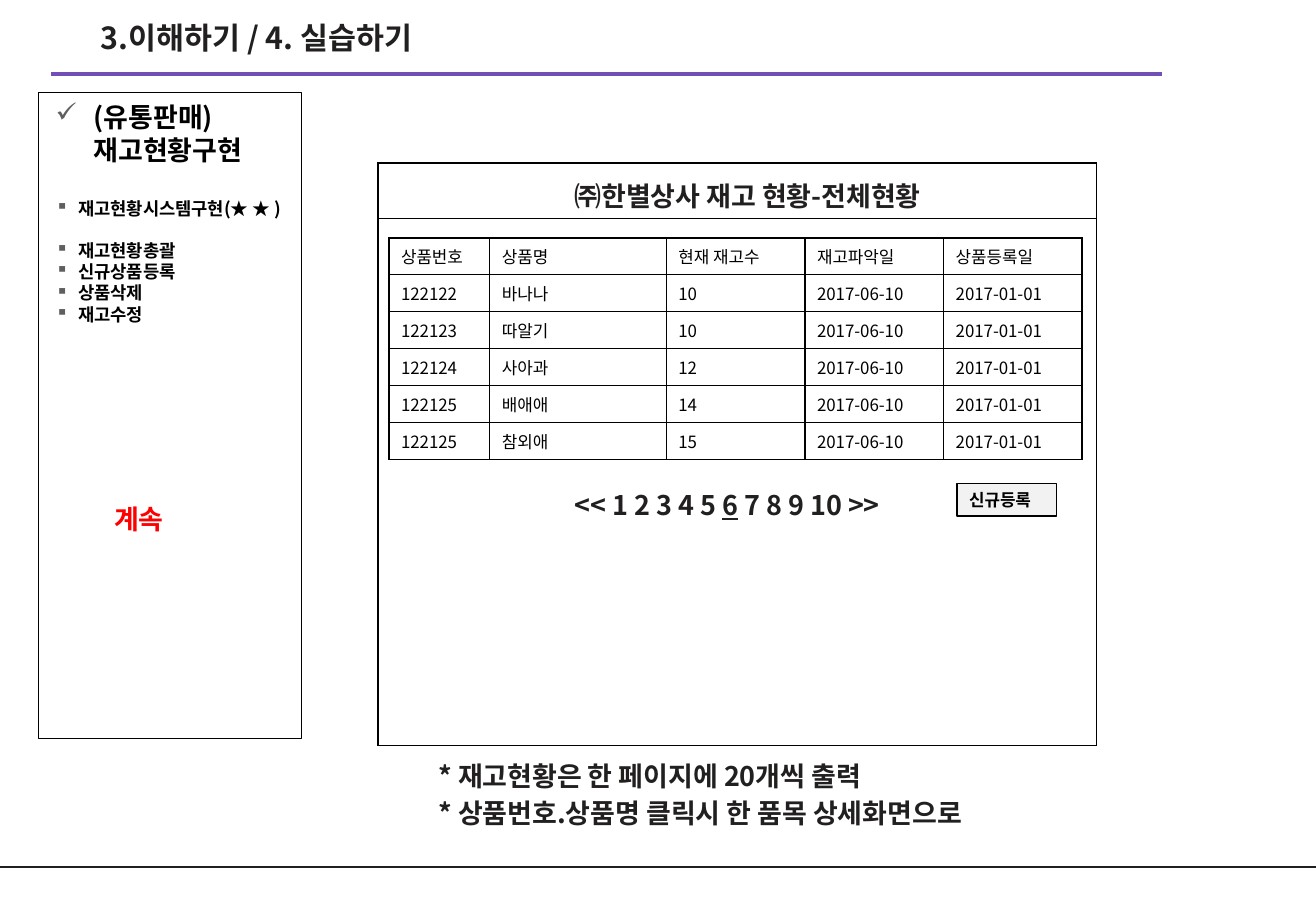
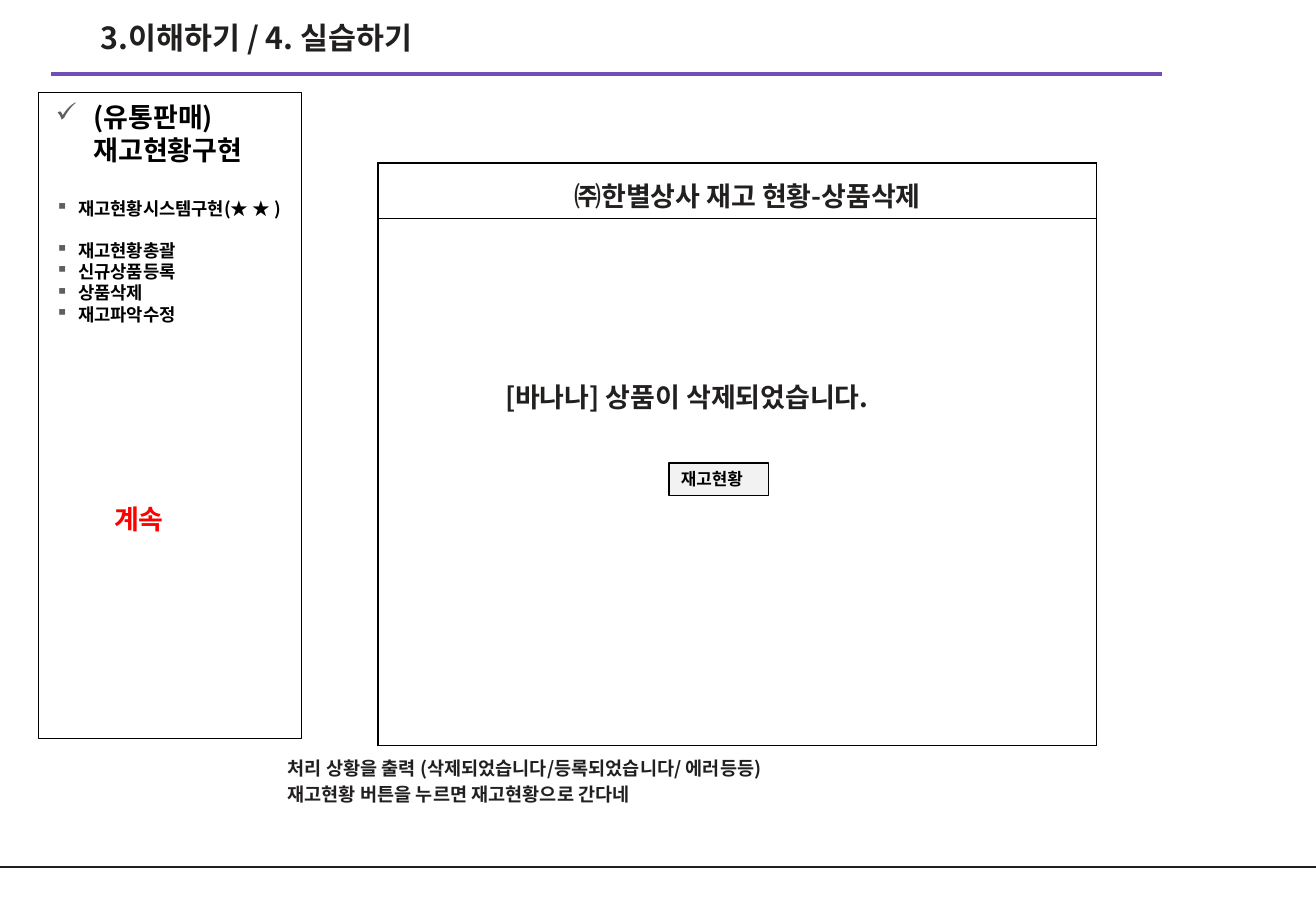
from lxml import etree
from pptx import Presentation
from pptx.dml.color import RGBColor
from pptx.enum.shapes import MSO_CONNECTOR, MSO_SHAPE
from pptx.enum.text import MSO_ANCHOR, MSO_AUTO_SIZE, PP_ALIGN
from pptx.oxml.ns import qn
from pptx.util import Pt

INK = RGBColor(0x22, 0x1F, 0x1F)
BLACK = RGBColor(0, 0, 0)
RED = RGBColor(0xFF, 0, 0)
PURPLE = RGBColor(0x72, 0x4F, 0xB7)
BUTTON = RGBColor(0xF2, 0xF2, 0xF2)
BULLET = RGBColor(0x5F, 0x5F, 0x5F)
FONT = "Noto Sans CJK KR"


def write(p, text, size=16, color=INK, bold=True, font=FONT, before=0,
          bullet=None, indent=0, underline=None):
    """Append a run to paragraph p and set the paragraph's format."""
    p.alignment = PP_ALIGN.LEFT
    p.space_before = Pt(before)
    r = p.add_run()
    r.text = text
    r.font.name, r.font.size, r.font.bold = font, Pt(size), bold
    r.font.color.rgb = color
    r.font.underline = underline
    etree.SubElement(r.font._element, qn("a:ea"), typeface=FONT)
    if bullet:
        pPr = p._p.get_or_add_pPr()
        pPr.set("marL", str(Pt(indent)))
        pPr.set("indent", str(-Pt(indent)))
        clr = etree.SubElement(pPr, qn("a:buClr"))
        etree.SubElement(clr, qn("a:srgbClr"), val=str(BULLET))
        etree.SubElement(pPr, qn("a:buChar"), char=bullet)


def add_grid(s, left, top, widths, heights):
    """Add a table with plain cells and thin black borders."""
    frame = s.shapes.add_table(len(heights), len(widths), Pt(left), Pt(top),
                               Pt(sum(widths)), Pt(sum(heights)))
    table = frame.table
    table.first_row = table.horz_banding = False
    for col, width in zip(table.columns, widths):
        col.width = Pt(width)
    for row, height in zip(table.rows, heights):
        row.height = Pt(height)
    for cell in table.iter_cells():
        cell.vertical_anchor = MSO_ANCHOR.MIDDLE
        cell.fill.background()
        tcPr = cell._tc.get_or_add_tcPr()
        for i, side in enumerate(("a:lnL", "a:lnR", "a:lnT", "a:lnB")):
            ln = etree.Element(qn(side), w=str(Pt(1)))
            fill = etree.SubElement(ln, qn("a:solidFill"))
            etree.SubElement(fill, qn("a:srgbClr"), val=str(BLACK))
            tcPr.insert(i, ln)
    return table


prs = Presentation()
prs.slide_width, prs.slide_height = Pt(780), Pt(540)
layout = prs.slide_layouts[5]
title = layout.placeholders[0]
title.left, title.top, title.width, title.height = Pt(52.5), Pt(8), Pt(400), Pt(34.5)

STOCK = [
    ("상품번호", "상품명", "현재 재고수", "재고파악일", "상품등록일"),
    ("122122", "바나나", "10", "2017-06-10", "2017-01-01"),
    ("122123", "따알기", "10", "2017-06-10", "2017-01-01"),
    ("122124", "사아과", "12", "2017-06-10", "2017-01-01"),
    ("122125", "배애애", "14", "2017-06-10", "2017-01-01"),
    ("122125", "참외애", "15", "2017-06-10", "2017-01-01"),
]
# Text boxes: left, top, width, height, size, lines
PAGES = [
    dict(heading="전체현황", last_item="재고수정", button=("신규등록", 567.3, 286.6),
         texts=[(252.7, 446.4, 361.4, 49.7, 16,
                 ["* 재고현황은 한 페이지에 20개씩 출력",
                  "* 상품번호.상품명 클릭시 한 품목 상세화면으로"])]),
    dict(heading="상품삭제", last_item="재고파악수정", button=("재고현황", 396.5, 274.3),
         texts=[(292.3, 221.8, 252, 26.6, 16, ["[바나나] 상품이 삭제되었습니다."]),
                (163.4, 445, 519.8, 36.7, 11,
                 ["처리 상황을 출력 (삭제되었습니다/등록되었습니다/ 에러등등)",
                  "재고현황 버튼을 누르면 재고현황으로 간다네"])]),
]

for page in PAGES:
    s = prs.slides.add_slide(layout)

    # Rules shared through the layout
    if page is PAGES[0]:
        for x1, x2, y, color, weight in ((0, 780, 514, INK, 1),
                                         (30.5, 689, 43.9, PURPLE, 2.25)):
            rule = s.shapes.add_connector(MSO_CONNECTOR.STRAIGHT, Pt(x1), Pt(y), Pt(x2), Pt(y))
            rule.line.color.rgb, rule.line.width = color, Pt(weight)
            etree.SubElement(rule._element.spPr, qn("a:effectLst"))
            layout.element.cSld.spTree.append(rule._element)

    tf = s.shapes.title.text_frame
    tf.vertical_anchor, tf.auto_size = MSO_ANCHOR.TOP, MSO_AUTO_SIZE.NONE
    write(tf.paragraphs[0], "3.이해하기 / 4. 실습하기", size=18)

    # Sidebar
    sp = s.shapes.add_shape(MSO_SHAPE.RECTANGLE, Pt(23), Pt(54.7), Pt(155.7), Pt(383))
    sp.shadow.inherit = False
    sp.fill.background()
    sp.line.color.rgb, sp.line.width = BLACK, Pt(0.75)
    tf = sp.text_frame
    tf.word_wrap, tf.vertical_anchor = True, MSO_ANCHOR.TOP
    tf.margin_left = tf.margin_right = Pt(10)
    tf.margin_top = tf.margin_bottom = Pt(5)
    write(tf.paragraphs[0], "(유통판매)재고현황구현", color=BLACK, bullet="✓", indent=22.5)
    for item, before in (("재고현황시스템구현(★ ★ )", 19), ("재고현황총괄", 12.5),
                         ("신규상품등록", 0), ("상품삭제", 0), (page["last_item"], 0)):
        write(tf.add_paragraph(), item, size=10.5, color=BLACK, before=before,
              bullet="▪", indent=13.5)

    # Screen mock-up
    add_grid(s, 224, 96.5, [426], [33.1, 312.5])
    if page is PAGES[0]:
        table = add_grid(s, 230.5, 141, [59.8, 104.6, 82.2, 82.2, 82.2], [21.9] * len(STOCK))
        for cell, value in zip(table.iter_cells(), sum(STOCK, ())):
            write(cell.text_frame.paragraphs[0], value, size=10, color=BLACK, bold=False)
        tf = s.shapes.add_textbox(Pt(333.4), Pt(285.8), Pt(226), Pt(26.6)).text_frame
        tf.word_wrap = True
        for text, underline in (("<< 1 2 3 4 5 ", None), ("6", True), (" 7 8 9 10 >>", None)):
            write(tf.paragraphs[0], text, underline=underline)

    heading = (333.4, 103, 293, 26.6, 16, ["㈜한별상사 재고 현황-" + page["heading"]])
    more = (60.5, 294.5, 46.8, 26.6, 16, ["계속"])
    for box in [heading, more] + page["texts"]:
        left, top, width, height, size, lines = box
        tf = s.shapes.add_textbox(Pt(left), Pt(top), Pt(width), Pt(height)).text_frame
        tf.word_wrap = True
        for i, line in enumerate(lines):
            write(tf.add_paragraph() if i else tf.paragraphs[0], line, size=size,
                  color=RED if box is more else INK, before=0.2 * size if i else 0)

    label, left, top = page["button"]
    sp = s.shapes.add_shape(MSO_SHAPE.RECTANGLE, Pt(left), Pt(top), Pt(59), Pt(19.5))
    sp.shadow.inherit = False
    sp.fill.solid()
    sp.fill.fore_color.rgb = BUTTON
    sp.line.color.rgb, sp.line.width = BLACK, Pt(1)
    sp.text_frame.vertical_anchor = MSO_ANCHOR.MIDDLE
    write(sp.text_frame.paragraphs[0], label, size=10, color=BLACK, font="Arial")

prs.save("out.pptx")
